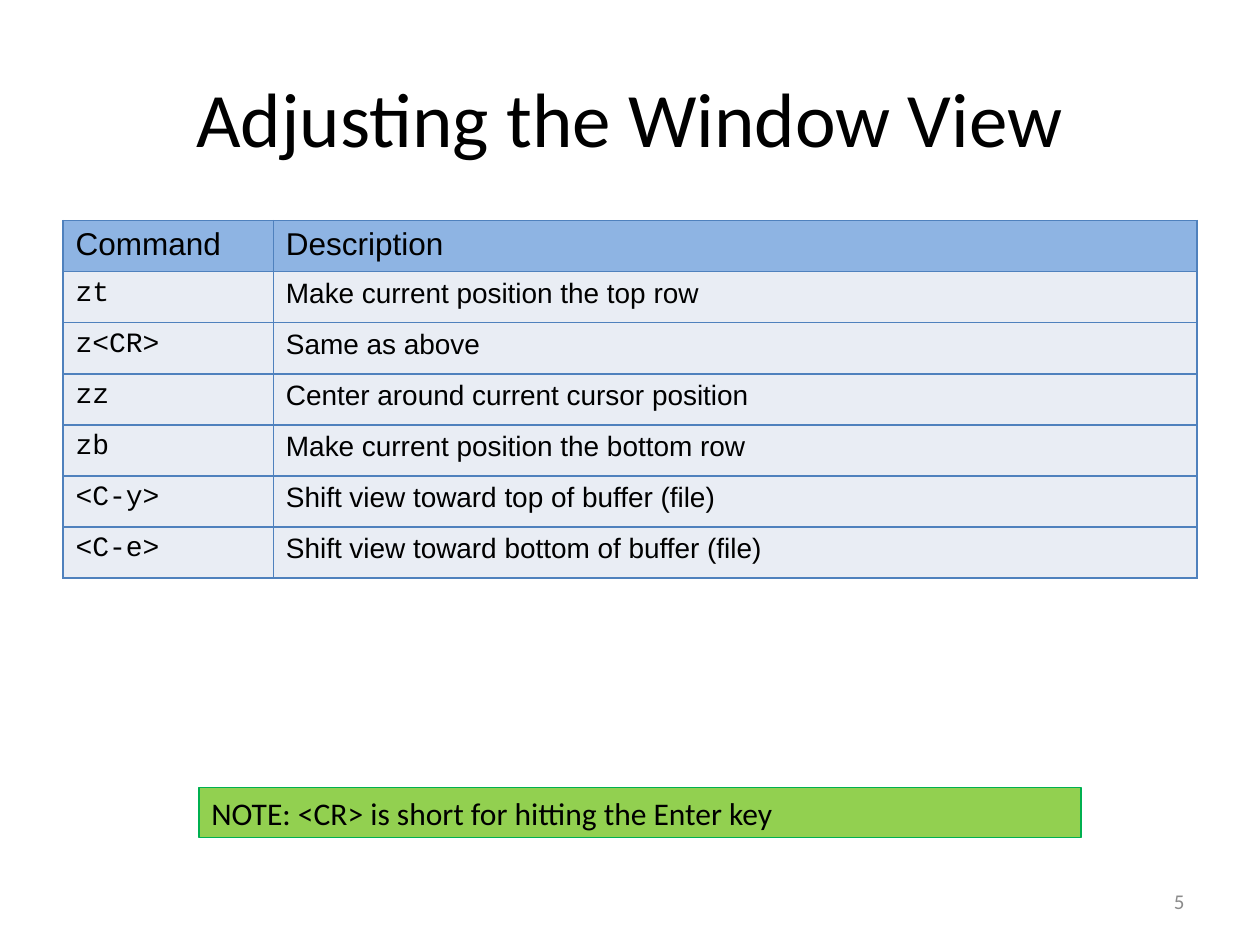
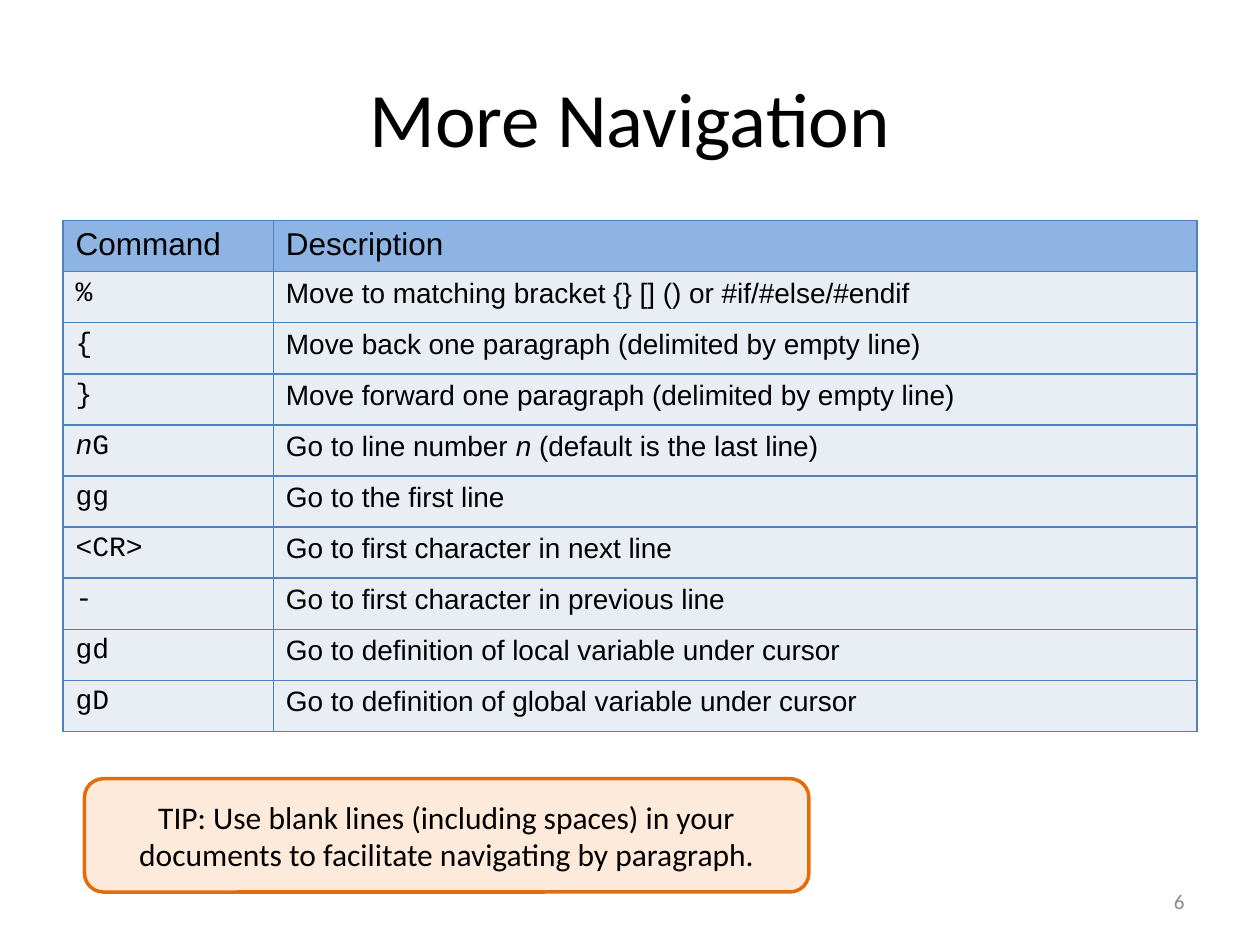
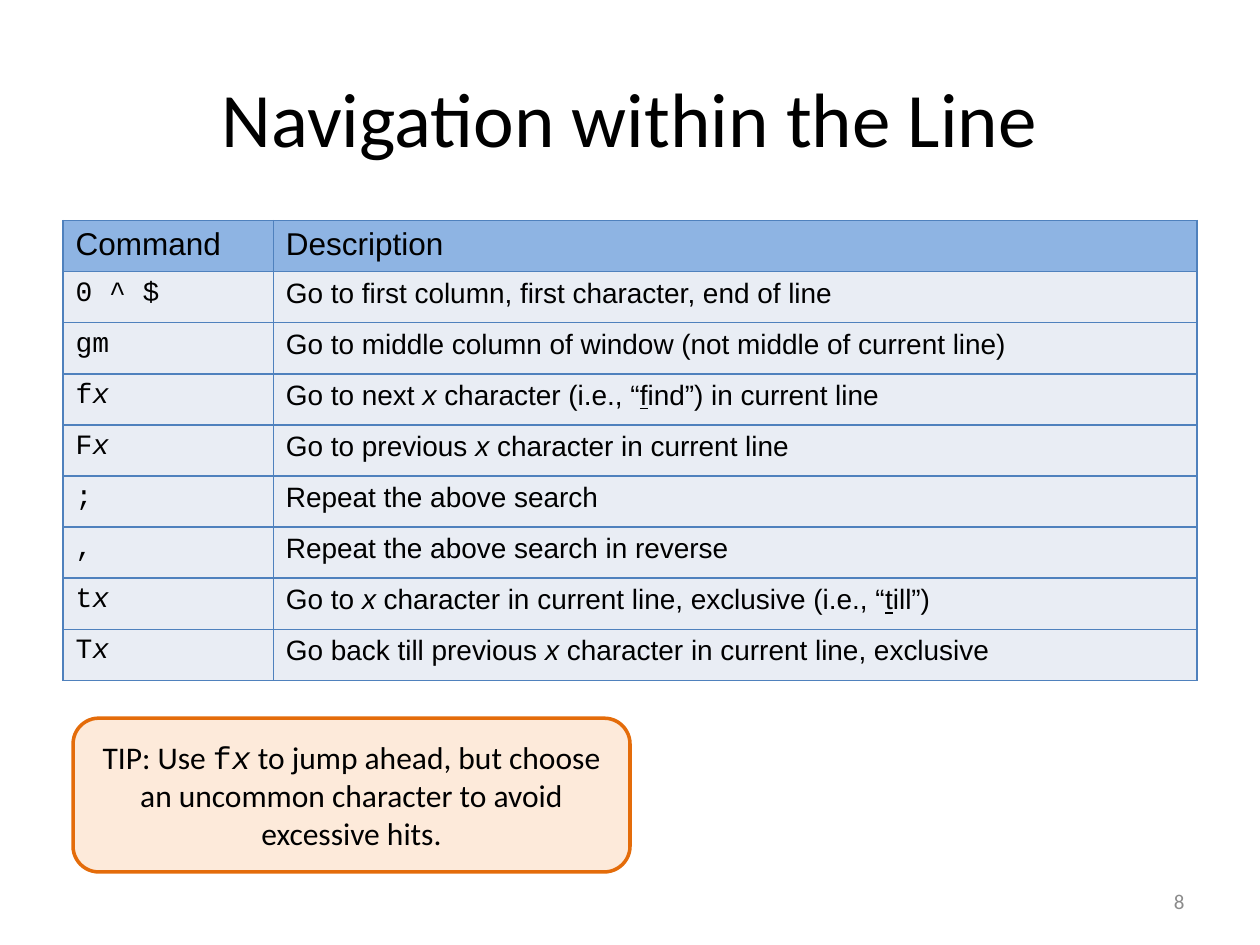
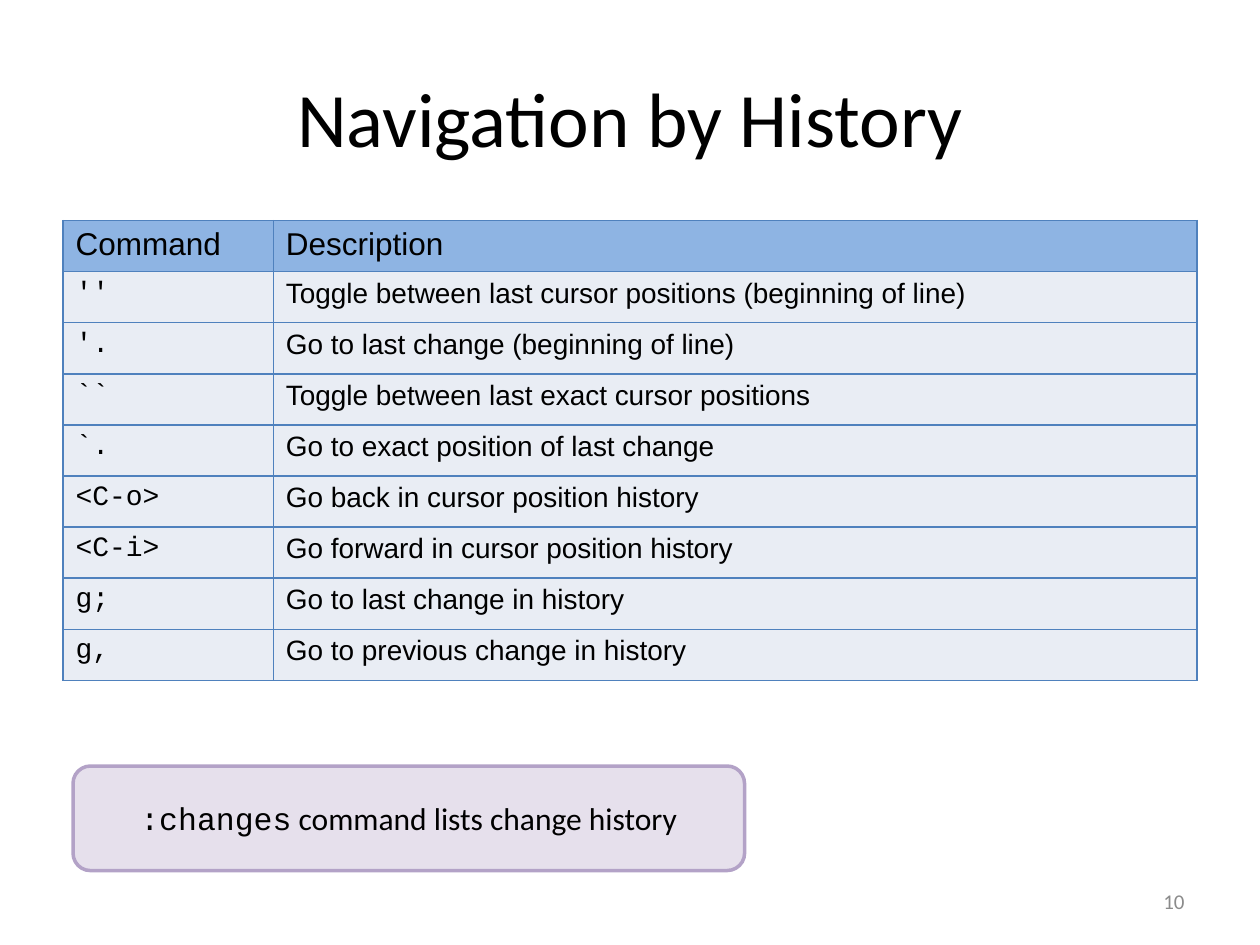
from lxml.etree import SubElement
from pptx import Presentation
from pptx.dml.color import RGBColor
from pptx.enum.shapes import MSO_SHAPE
from pptx.enum.text import MSO_ANCHOR, PP_ALIGN
from pptx.oxml.ns import qn
from pptx.util import Inches, Pt

BLACK = RGBColor(0x00, 0x00, 0x00)
GRAY = RGBColor(0x8B, 0x8B, 0x8B)
BORDER = RGBColor(0x4F, 0x81, 0xBD)
HEAD_FILL = RGBColor(0x8E, 0xB4, 0xE3)
BODY_FILL = RGBColor(0xE9, 0xED, 0xF4)
LIME = RGBColor(0x92, 0xD0, 0x50)
GREEN = RGBColor(0x00, 0xB0, 0x50)
PEACH = RGBColor(0xFD, 0xEA, 0xDA)
ORANGE = RGBColor(0xE4, 0x6C, 0x0A)
LILAC = RGBColor(0xE6, 0xE0, 0xEC)
PURPLE = RGBColor(0xB3, 0xA2, 0xC7)

SANS, TABLE_FONT, MONO = "Calibri", "Arial", "Courier New"
MARGIN = 0.5
COLUMNS = (1.67, 7.33)
TABLE_TOP = 1.75
ROW_HEIGHT = Pt(29.2)

TITLE = {"name": SANS, "size": Pt(44), "color": BLACK}
NUMBER = {"name": SANS, "size": Pt(12), "color": GRAY}
CALLOUT = {"name": SANS, "size": Pt(18), "color": BLACK}
HEADING = {"name": TABLE_FONT, "size": Pt(18), "color": BLACK}
COMMAND = {"name": MONO, "size": Pt(16), "color": BLACK}
DESCRIPTION = {"name": TABLE_FONT, "size": Pt(16), "color": BLACK}

ITALIC = {"italic": True}
UNDERLINE = {"underline": True}
CODE = {"name": MONO}
X = ("x", ITALIC)
N = ("n", ITALIC)

NOTE = {"preset": MSO_SHAPE.RECTANGLE, "fill": LIME, "line": GREEN, "width": 0.75,
        "align": PP_ALIGN.LEFT, "anchor": MSO_ANCHOR.TOP}
TIP = {"preset": MSO_SHAPE.ROUNDED_RECTANGLE, "fill": PEACH, "line": ORANGE, "width": 2,
       "align": PP_ALIGN.CENTER, "anchor": MSO_ANCHOR.MIDDLE}
INFO = {**TIP, "fill": LILAC, "line": PURPLE}

SLIDES = [
    {
        "title": "Adjusting the Window View",
        "number": 5,
        "rows": [
            ("zt", "Make current position the top row"),
            ("z<CR>", "Same as above"),
            ("zz", "Center around current cursor position"),
            ("zb", "Make current position the bottom row"),
            ("<C-y>", "Shift view toward top of buffer (file)"),
            ("<C-e>", "Shift view toward bottom of buffer (file)"),
        ],
        "callout": (NOTE, (1.58, 6.25, 7, 0.4), "NOTE: <CR> is short for hitting the Enter key"),
    },
    {
        "title": "More Navigation",
        "number": 6,
        "rows": [
            ("%", "Move to matching bracket {} [] () or #if/#else/#endif"),
            ("{", "Move back one paragraph (delimited by empty line)"),
            ("}", "Move forward one paragraph (delimited by empty line)"),
            ([N, "G"], ["Go to line number ", N, " (default is the last line)"]),
            ("gg", "Go to the first line"),
            ("<CR>", "Go to first character in next line"),
            ("-", "Go to first character in previous line"),
            ("gd", "Go to definition of local variable under cursor"),
            ("gD", "Go to definition of global variable under cursor"),
        ],
        "callout": (TIP, (0.67, 6.18, 5.75, 0.9),
                    "TIP: Use blank lines (including spaces) in your documents "
                    "to facilitate navigating by paragraph."),
    },
    {
        "title": "Navigation within the Line",
        "number": 8,
        "rows": [
            ("0 ^ $", "Go to first column, first character, end of line"),
            ("gm", "Go to middle column of window (not middle of current line)"),
            (["f", X], ["Go to next ", X, " character (i.e., “", ("f", UNDERLINE),
                        "ind”) in current line"]),
            (["F", X], ["Go to previous ", X, " character in current line"]),
            (";", "Repeat the above search"),
            (",", "Repeat the above search in reverse"),
            (["t", X], ["Go to ", X, " character in current line, exclusive (i.e., “",
                        ("t", UNDERLINE), "ill”)"]),
            (["T", X], ["Go back till previous ", X, " character in current line, exclusive"]),
        ],
        "callout": (TIP, (0.58, 5.7, 4.42, 1.22),
                    ["TIP: Use ", ("f", CODE), ("x", {**CODE, **ITALIC}),
                     " to jump ahead, but choose an uncommon character to avoid excessive hits."]),
    },
    {
        "title": "Navigation by History",
        "number": 10,
        "rows": [
            ("''", "Toggle between last cursor positions (beginning of line)"),
            ("'.", "Go to last change (beginning of line)"),
            ("``", "Toggle between last exact cursor positions"),
            ("`.", "Go to exact position of last change"),
            ("<C-o>", "Go back in cursor position history"),
            ("<C-i>", "Go forward in cursor position history"),
            ("g;", "Go to last change in history"),
            ("g,", "Go to previous change in history"),
        ],
        "callout": (INFO, (0.58, 6.08, 5.33, 0.83),
                    [(":changes", CODE), " command lists change history"]),
    },
]


def write(tf, content, font, align=PP_ALIGN.LEFT):
    p = tf.paragraphs[0]
    p.alignment = align
    for part in [content] if isinstance(content, str) else content:
        text, extra = (part, {}) if isinstance(part, str) else part
        r = p.add_run()
        r.text = text
        for key, value in {**font, **extra}.items():
            if key == "color":
                r.font.color.rgb = value
            else:
                setattr(r.font, key, value)


def add_text(s, box, content, font, align):
    tf = s.shapes.add_textbox(*map(Inches, box)).text_frame
    tf.word_wrap = True
    tf.vertical_anchor = MSO_ANCHOR.MIDDLE
    write(tf, content, font, align)


def fill_cell(cell, content, font, color):
    write(cell.text_frame, content, font)
    tc_pr = cell._tc.get_or_add_tcPr()
    for side in ("a:lnL", "a:lnR", "a:lnT", "a:lnB"):
        ln = SubElement(tc_pr, qn(side), w=str(Pt(1)))
        fill = SubElement(ln, qn("a:solidFill"))
        SubElement(fill, qn("a:srgbClr"), val=str(BORDER))
    cell.fill.solid()
    cell.fill.fore_color.rgb = color


def add_commands(s, rows):
    count = len(rows) + 1
    table = s.shapes.add_table(count, len(COLUMNS), Inches(MARGIN), Inches(TABLE_TOP),
                               Inches(sum(COLUMNS)), ROW_HEIGHT * count).table
    table.first_row = table.horz_banding = False
    for column, width in zip(table.columns, COLUMNS):
        column.width = Inches(width)
    for row in table.rows:
        row.height = ROW_HEIGHT
    for j, heading in enumerate(("Command", "Description")):
        fill_cell(table.cell(0, j), heading, HEADING, HEAD_FILL)
    for i, row in enumerate(rows, 1):
        for j, (content, font) in enumerate(zip(row, (COMMAND, DESCRIPTION))):
            fill_cell(table.cell(i, j), content, font, BODY_FILL)


def add_callout(s, style, box, content):
    sp = s.shapes.add_shape(style["preset"], *map(Inches, box))
    sp.shadow.inherit = False
    sp.fill.solid()
    sp.fill.fore_color.rgb = style["fill"]
    sp.line.color.rgb = style["line"]
    sp.line.width = Pt(style["width"])
    tf = sp.text_frame
    tf.word_wrap = True
    tf.vertical_anchor = style["anchor"]
    write(tf, content, CALLOUT, style["align"])


def main():
    prs = Presentation()
    prs.slide_width, prs.slide_height = Inches(10), Inches(7.5)
    for item in SLIDES:
        s = prs.slides.add_slide(prs.slide_layouts[6])
        add_text(s, (MARGIN, 0.3, 9, 1.25), item["title"], TITLE, PP_ALIGN.CENTER)
        add_commands(s, item["rows"])
        add_text(s, (7.17, 6.95, 2.33, 0.4), str(item["number"]), NUMBER, PP_ALIGN.RIGHT)
        add_callout(s, *item["callout"])
    prs.save("out.pptx")


if __name__ == "__main__":
    main()
